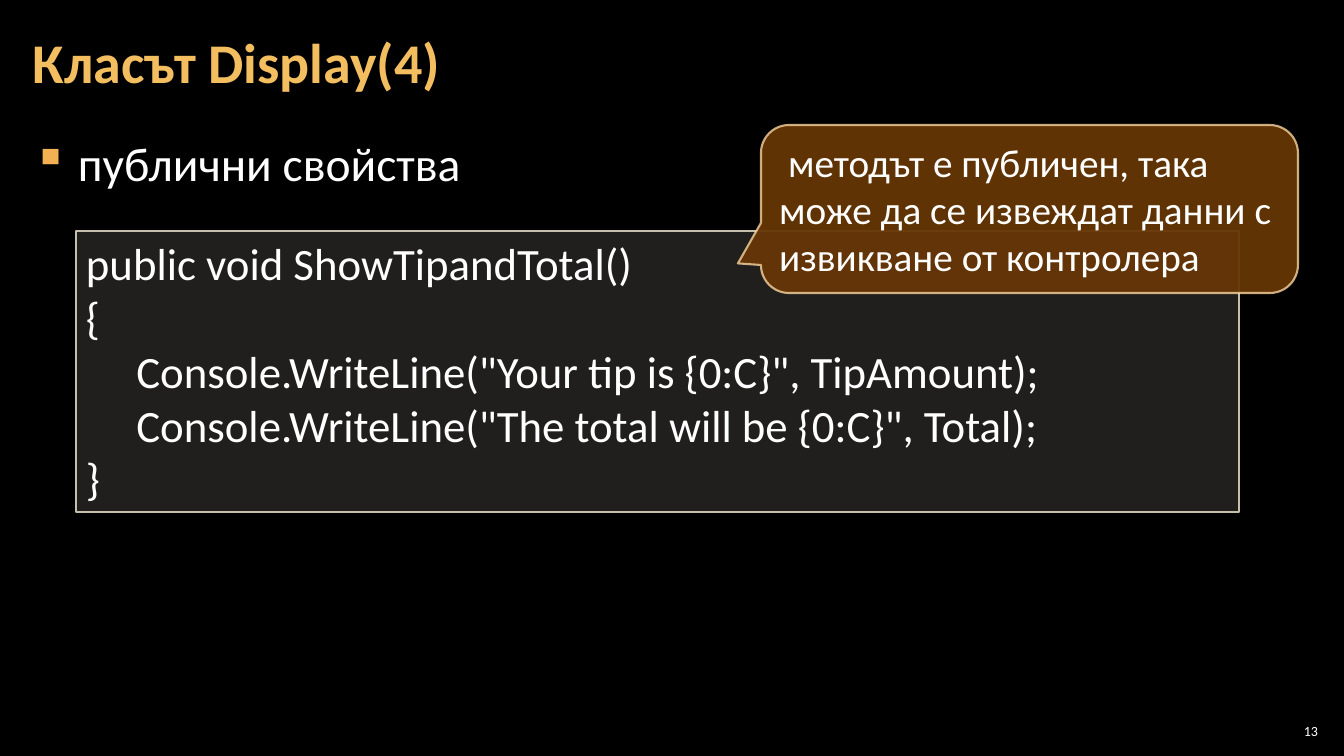
"""Build the slide on the public method of the Display class."""
from dataclasses import dataclass

from lxml.etree import SubElement
from pptx import Presentation
from pptx.dml.color import RGBColor
from pptx.enum.shapes import MSO_SHAPE
from pptx.enum.text import MSO_ANCHOR, PP_ALIGN
from pptx.oxml.ns import qn
from pptx.shapes.autoshape import Shape
from pptx.slide import Slide
from pptx.util import Emu, Pt

EMU_PER_PX = 914400 / 100.8
FONT = "Calibri"
COLORS = {
    "background": "000000",
    "text": "FFFFFF",
    "title": "F3BE60",
    "bullet": "F2B254",
    "code_fill": "D9D5C7",
    "code_line": "C7BFAC",
    "callout_fill": "663606",
    "callout_line": "F8D49E",
}
CODE = """public void ShowTipandTotal()
{
\tConsole.WriteLine("Your tip is {0:C}", TipAmount);
\tConsole.WriteLine("The total will be {0:C}", Total);
}"""


@dataclass(frozen=True)
class Box:
    left: int
    top: int
    width: int
    height: int


@dataclass(frozen=True)
class Panel:
    box: Box
    preset: MSO_SHAPE
    fill: str
    fill_alpha: int
    line: str
    line_alpha: int
    line_width: float
    adjustments: tuple[float, ...] = ()


CODE_PANEL = Panel(Box(76, 231, 1163, 281), MSO_SHAPE.RECTANGLE,
                   "code_fill", 15, "code_line", 100, 1)
CALLOUT_PANEL = Panel(Box(761, 125, 537, 168), MSO_SHAPE.ROUNDED_RECTANGULAR_CALLOUT,
                      "callout_fill", 95, "callout_line", 80, 1.5,
                      (-0.543, 0.324, 0.167))


def px(length: int) -> Emu:
    return Emu(round(length * EMU_PER_PX))


def place(box: Box) -> tuple[Emu, ...]:
    return px(box.left), px(box.top), px(box.width), px(box.height)


def rgb(name: str) -> RGBColor:
    return RGBColor.from_string(COLORS[name])


def write(shape: Shape, text: str, *, size: int, color: str = "text",
          bold: bool = False, align: PP_ALIGN = PP_ALIGN.LEFT,
          anchor: MSO_ANCHOR = MSO_ANCHOR.TOP, inset: tuple[int, int] = (10, 5),
          spacing: float = 1.0, margin: int = 0, indent: int = 0,
          bullet: str = "", tab: int = 0) -> None:
    frame = shape.text_frame
    frame.word_wrap = True
    frame.vertical_anchor = anchor
    frame.margin_left = frame.margin_right = px(inset[0])
    frame.margin_top = frame.margin_bottom = px(inset[1])
    frame.text = text
    for paragraph in frame.paragraphs:
        properties = paragraph._p.get_or_add_pPr()
        properties.set("marL", str(px(margin)))
        properties.set("indent", str(px(indent)))
        if bullet:
            bullet_color = SubElement(properties, qn("a:buClr"))
            SubElement(bullet_color, qn("a:srgbClr"), val=COLORS["bullet"])
            SubElement(properties, qn("a:buChar"), char=bullet)
        if tab:
            stops = SubElement(properties, qn("a:tabLst"))
            SubElement(stops, qn("a:tab"), pos=str(px(tab)), algn="l")
        paragraph.alignment = align
        paragraph.line_spacing = spacing
        for run in paragraph.runs:
            run.font.name = FONT
            run.font.size = Pt(size)
            run.font.bold = bold
            run.font.color.rgb = rgb(color)


def add_text_box(slide: Slide, box: Box) -> Shape:
    return slide.shapes.add_textbox(*place(box))


def add_panel(slide: Slide, panel: Panel) -> Shape:
    shape = slide.shapes.add_shape(panel.preset, *place(panel.box))
    shape.shadow.inherit = False
    for index, value in enumerate(panel.adjustments):
        shape.adjustments[index] = value
    shape.line.width = Pt(panel.line_width)
    for fill, color, alpha in ((shape.fill, panel.fill, panel.fill_alpha),
                               (shape.line.fill, panel.line, panel.line_alpha)):
        fill.solid()
        fill.fore_color.rgb = rgb(color)
        solid = fill._xPr.find(qn("a:solidFill"))
        SubElement(solid[0], qn("a:alpha"), val=str(alpha * 1000))
    return shape


def main() -> None:
    presentation = Presentation()
    presentation.slide_width, presentation.slide_height = px(1344), px(756)
    slide = presentation.slides.add_slide(presentation.slide_layouts[6])
    slide.background.fill.solid()
    slide.background.fill.fore_color.rgb = rgb("background")

    write(add_text_box(slide, Box(21, 127, 1301, 486)), "публични свойства",
          size=34, inset=(12, 4), spacing=1.05, margin=45, indent=-45, bullet="▪")
    write(add_text_box(slide, Box(21, 4, 1301, 122)), "Класът Display(4)",
          size=40, color="title", bold=True, anchor=MSO_ANCHOR.MIDDLE,
          inset=(12, 4), spacing=0.9)
    write(add_panel(slide, CODE_PANEL), CODE, size=32, tab=134)
    write(add_panel(slide, CALLOUT_PANEL),
          "методът е публичен, така може да се извеждат данни с извикване от контролера",
          size=28, anchor=MSO_ANCHOR.MIDDLE, indent=9)
    write(add_text_box(slide, Box(1275, 720, 47, 21)), "13", size=10,
          align=PP_ALIGN.RIGHT, anchor=MSO_ANCHOR.MIDDLE, inset=(4, 4))
    presentation.save("out.pptx")


if __name__ == "__main__":
    main()
